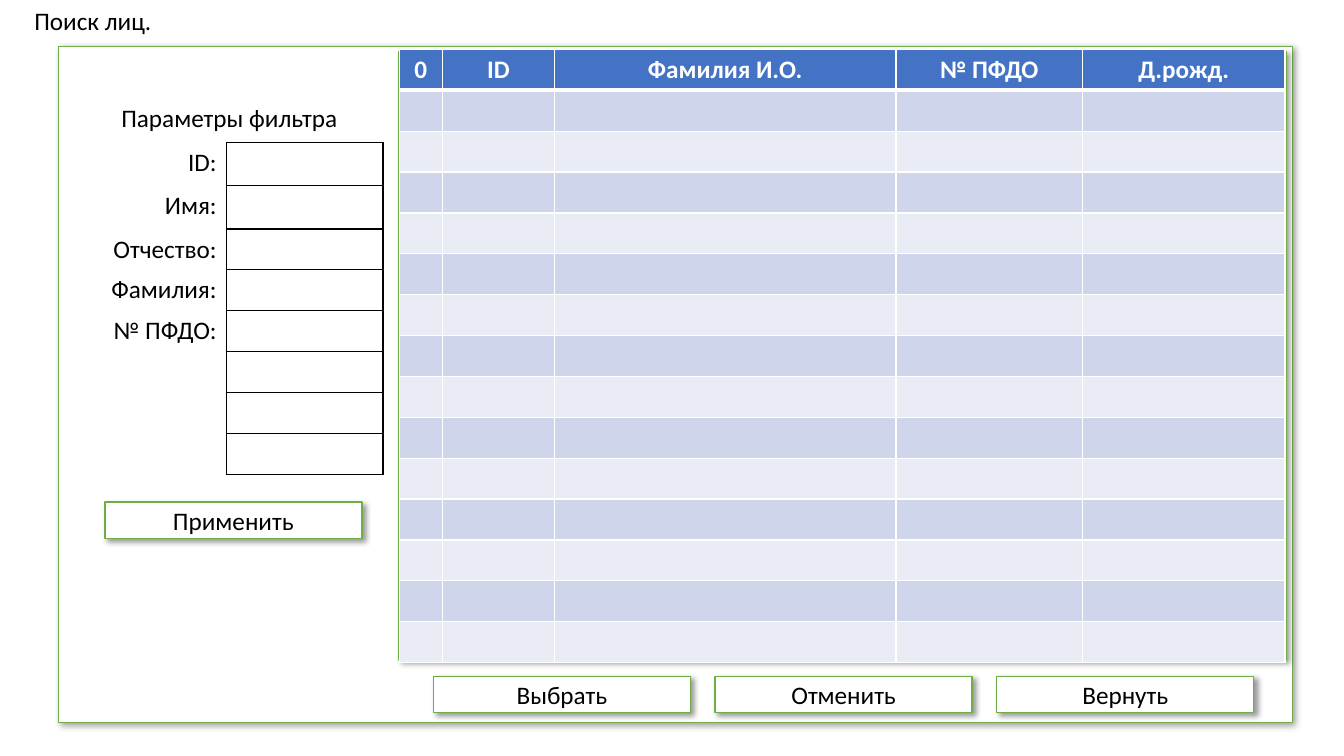
import dataclasses

import lxml.etree
import pptx
import pptx.dml.color
import pptx.enum.shapes
import pptx.enum.text
import pptx.oxml
import pptx.oxml.ns
import pptx.presentation
import pptx.shapes.autoshape
import pptx.slide
import pptx.table
import pptx.text.text
import pptx.util

Pt = pptx.util.Pt
ALIGN = pptx.enum.text.PP_ALIGN
ANCHOR = pptx.enum.text.MSO_ANCHOR

COLOURS = {
    "text": "000000",
    "paper": "FFFFFF",
    "outline": "70AD47",
    "header": "4472C4",
    "odd_row": "CFD5EA",
    "even_row": "E9EBF5",
}
PLAIN_TABLE_STYLE = "{2D5ABB26-0587-4C30-8999-92F81FD0307C}"
EDGES = ("L", "R", "T", "B")


@dataclasses.dataclass
class Box:
    left: float
    top: float
    width: float
    height: float
    label: str = ""


BUTTON_WIDTH, BUTTON_HEIGHT = 183.6, 25.9
BUTTON_ROW_LEFT, BUTTON_ROW_TOP, BUTTON_STEP = 309.6, 483.1, 201.2
PANELS = [Box(41.8, 33.1, 881.3, 483.1), Box(285.1, 36.7, 633.6, 434.9)]
BUTTONS = [
    Box(BUTTON_ROW_LEFT + i * BUTTON_STEP, BUTTON_ROW_TOP, BUTTON_WIDTH, BUTTON_HEIGHT, label)
    for i, label in enumerate(["Выбрать", "Отменить", "Вернуть"])
] + [Box(74.9, 358.6, BUTTON_WIDTH, BUTTON_HEIGHT, "Применить")]

FILTER_TITLE = "Параметры фильтра"
FILTER_LABELS = ["ID:", "Имя:", "Отчество:", "Фамилия:", "№ ПФДО:", "", "", ""]
FILTER_COLUMNS = [108, 111.6]
FILTER_ROWS = [31] * 3 + [27.4] * 6

GRID_HEADERS = ["0", "ID", "Фамилия И.О.", "№ ПФДО", "Д.рожд."]
GRID_COLUMNS = [31, 79.9, 244.1, 133.2, 144.7]
GRID_ROWS = [29] * 15


def colour(name: str) -> pptx.dml.color.RGBColor:
    return pptx.dml.color.RGBColor.from_string(COLOURS[name])


def write(para: pptx.text.text._Paragraph, text: str, align: ALIGN,
          ink: str = "text", bold: bool = False) -> None:
    para.text = text
    para.alignment = align
    para.font.name = "Calibri"
    para.font.size = Pt(18)
    para.font.bold = bold
    para.font.color.rgb = colour(ink)


def add_shadow(shape: pptx.shapes.autoshape.Shape) -> None:
    shape.shadow.inherit = False
    effects = shape.element.spPr.find(pptx.oxml.ns.qn("a:effectLst"))
    effects.append(pptx.oxml.parse_xml(
        f'<a:outerShdw {pptx.oxml.ns.nsdecls("a")} blurRad="{Pt(4)}" dist="{Pt(3)}" '
        f'dir="2700000" algn="tl" rotWithShape="0"><a:srgbClr val="{COLOURS["text"]}">'
        '<a:alpha val="40000"/></a:srgbClr></a:outerShdw>'))


def draw_box(page: pptx.slide.Slide, box: Box) -> None:
    shape = page.shapes.add_shape(
        pptx.enum.shapes.MSO_SHAPE.RECTANGLE,
        Pt(box.left), Pt(box.top), Pt(box.width), Pt(box.height))
    shape.fill.solid()
    shape.fill.fore_color.rgb = colour("paper")
    shape.line.color.rgb = colour("outline")
    shape.line.width = Pt(1)
    add_shadow(shape)
    if box.label:
        shape.text_frame.vertical_anchor = ANCHOR.MIDDLE
        write(shape.text_frame.paragraphs[0], box.label, ALIGN.CENTER)


def draw_borders(cell: pptx.table._Cell, ink: str, widths: dict[str, float]) -> None:
    """Add cell borders; call before the fill is set, as borders come first."""
    properties = cell._tc.get_or_add_tcPr()
    for edge, width in widths.items():
        line = lxml.etree.SubElement(
            properties, pptx.oxml.ns.qn(f"a:ln{edge}"), w=str(Pt(width)))
        fill = lxml.etree.SubElement(line, pptx.oxml.ns.qn("a:solidFill"))
        lxml.etree.SubElement(fill, pptx.oxml.ns.qn("a:srgbClr"), val=COLOURS[ink])


def add_plain_table(page: pptx.slide.Slide, left: float, top: float,
                    columns: list[float], rows: list[float]) -> pptx.table.Table:
    frame = page.shapes.add_table(
        len(rows), len(columns), Pt(left), Pt(top), Pt(sum(columns)), Pt(sum(rows)))
    for style in frame.element.iter(pptx.oxml.ns.qn("a:tableStyleId")):
        style.text = PLAIN_TABLE_STYLE
    table = frame.table
    table.horz_banding = False
    for column, width in zip(table.columns, columns):
        column.width = Pt(width)
    for row, height in zip(table.rows, rows):
        row.height = Pt(height)
    return table


def draw_filter(page: pptx.slide.Slide) -> None:
    table = add_plain_table(page, 54, 70.6, FILTER_COLUMNS, FILTER_ROWS)
    heading = table.cell(0, 0)
    heading.merge(table.cell(0, 1))
    write(heading.text_frame.paragraphs[0], FILTER_TITLE, ALIGN.CENTER)
    heading.fill.background()
    for row, label in enumerate(FILTER_LABELS, start=1):
        name, entry = table.cell(row, 0), table.cell(row, 1)
        write(name.text_frame.paragraphs[0], label, ALIGN.RIGHT)
        draw_borders(name, "text", {"R": 1})
        draw_borders(entry, "text", dict.fromkeys(EDGES, 1))
        name.fill.background()
        entry.fill.background()


def draw_grid(page: pptx.slide.Slide) -> None:
    table = add_plain_table(page, 285.1, 35.3, GRID_COLUMNS, GRID_ROWS)
    for row in range(len(GRID_ROWS)):
        for column, header in enumerate(GRID_HEADERS):
            cell = table.cell(row, column)
            widths = dict.fromkeys(EDGES, 1)
            if row == 0:
                widths["B"] = 3
                band = "header"
                write(cell.text_frame.paragraphs[0], header, ALIGN.CENTER, "paper", True)
            else:
                if row == 1:
                    widths["T"] = 3
                band = "odd_row" if row % 2 else "even_row"
            draw_borders(cell, "paper", widths)
            cell.fill.solid()
            cell.fill.fore_color.rgb = colour(band)


def draw_title(page: pptx.slide.Slide) -> None:
    title = page.shapes.title
    title.left, title.top, title.width, title.height = Pt(17.3), Pt(0), Pt(195.1), Pt(28.8)
    frame = title.text_frame
    frame.word_wrap = True
    frame.auto_size = pptx.enum.text.MSO_AUTO_SIZE.NONE
    frame.vertical_anchor = ANCHOR.TOP
    write(frame.paragraphs[0], "Поиск лиц.", ALIGN.LEFT)


def main() -> None:
    deck = pptx.Presentation()
    deck.slide_width, deck.slide_height = Pt(960), Pt(540)
    page = deck.slides.add_slide(deck.slide_layouts.get_by_name("Title Only"))
    # Window and grid frames
    for panel in PANELS:
        draw_box(page, panel)
    # Filter form and result grid
    draw_filter(page)
    draw_grid(page)
    # Buttons and heading
    for button in BUTTONS:
        draw_box(page, button)
    draw_title(page)
    deck.save("out.pptx")


if __name__ == "__main__":
    main()
